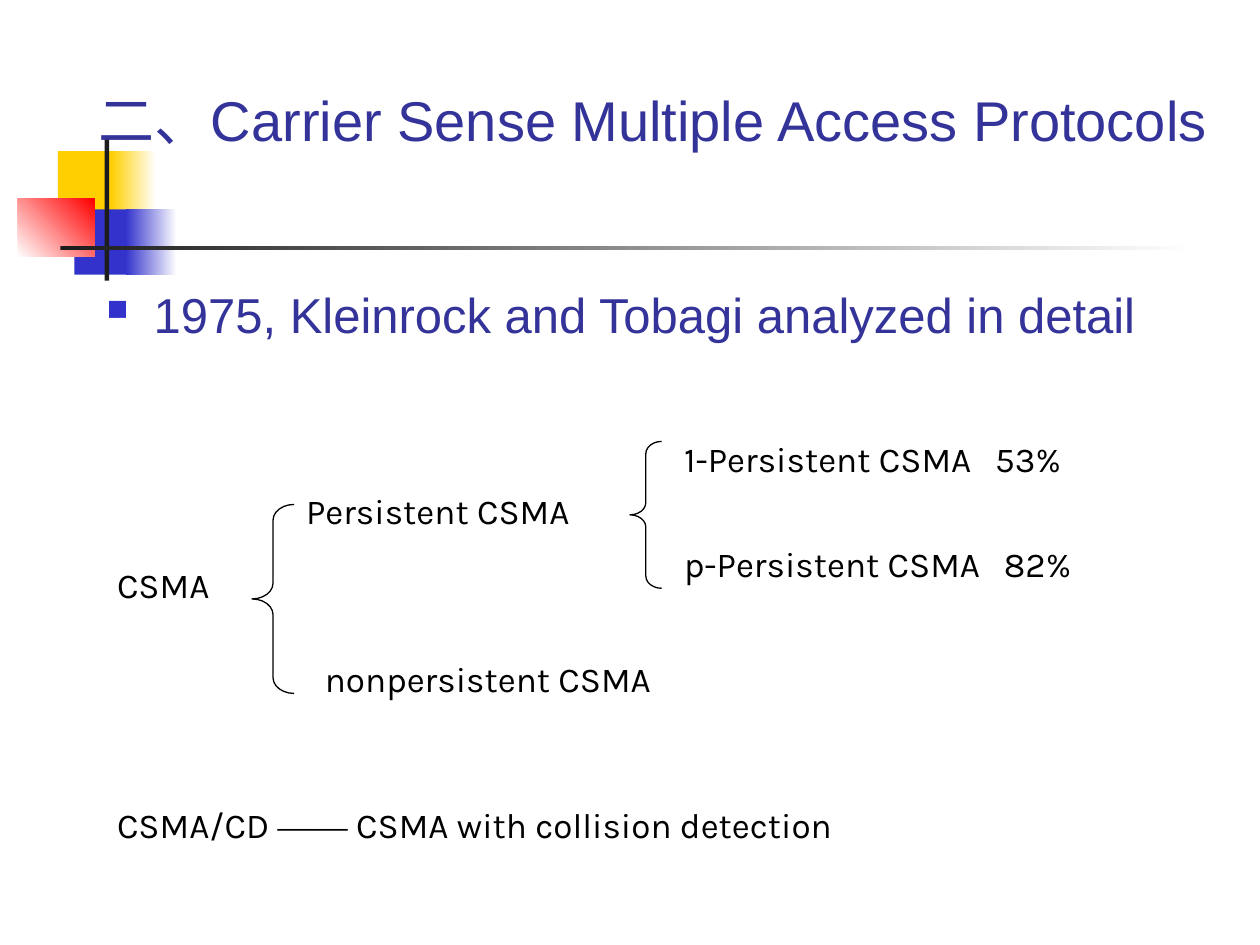
from lxml.etree import SubElement
from pptx import Presentation
from pptx.dml.color import RGBColor
from pptx.enum.shapes import MSO_SHAPE as Shape
from pptx.enum.text import MSO_ANCHOR as Anchor, MSO_AUTO_SIZE as Fit, PP_ALIGN as Align
from pptx.oxml.ns import qn
from pptx.util import Cm, Pt

YELLOW = RGBColor(0xFF, 0xCF, 0x01)
BLUE = RGBColor(0x33, 0x33, 0xCC)
RED = RGBColor(0xFF, 0x00, 0x00)
DARK = RGBColor(0x1C, 0x1C, 0x1C)
NAVY = RGBColor(0x33, 0x33, 0x99)
WHITE = RGBColor(0xFF, 0xFF, 0xFF)
BLACK = RGBColor(0x00, 0x00, 0x00)


def add_text(slide, box, text):
    frame = slide.shapes.add_textbox(*map(Cm, box)).text_frame
    frame.word_wrap = True
    para = frame.paragraphs[0]
    para.text = text
    return frame, para


def set_font(para, size, color, name=None):
    para.font.size = Pt(size)
    para.font.color.rgb = color
    if name:
        para.font.name = name


def add_rect(slide, box, start, end=None, angle=0):
    rect = slide.shapes.add_shape(Shape.RECTANGLE, *map(Cm, box))
    rect.shadow.inherit = False
    rect.line.fill.background()
    if end is None:
        rect.fill.solid()
        rect.fill.fore_color.rgb = start
        return
    rect.fill.gradient()
    rect.fill.gradient_angle = angle
    for stop, color in zip(rect.fill.gradient_stops, (start, end)):
        stop.color.rgb = color


def add_motif(slide, left, top):
    parts = [
        (0.81, 0.31, 1.22, 1.32, YELLOW),
        (1.88, 0.31, 0.91, 1.32, YELLOW, WHITE),
        (1.14, 1.48, 1.17, 1.32, BLUE),
        (2.18, 1.48, 1.02, 1.32, BLUE, WHITE),
        (0, 1.27, 1.55, 1.17, WHITE, RED, 45),
        (1.75, 0, 0.09, 2.92, DARK),
        (0.86, 2.21, 22.86, 0.09, DARK, WHITE),
    ]
    for x, y, width, height, *paint in parts:
        add_rect(slide, (left + x, top + y, width, height), *paint)


def add_title(slide, box):
    frame, para = add_text(slide, box, "二、Carrier Sense Multiple Access Protocols")
    frame.vertical_anchor = Anchor.BOTTOM
    para.alignment = Align.CENTER
    set_font(para, 32, NAVY, "Arial")


def add_body(slide, box):
    para = add_text(slide, box, "1975, Kleinrock and Tobagi analyzed in detail")[1]
    props = para._p.get_or_add_pPr()
    props.set("marL", str(Cm(0.95)))
    props.set("indent", str(-Cm(0.95)))
    tint = SubElement(props, qn("a:buClr"))
    SubElement(tint, qn("a:srgbClr"), val=str(BLUE))
    SubElement(props, qn("a:buSzPct"), val="60000")
    SubElement(props, qn("a:buChar"), char="■")
    set_font(para, 28, NAVY, "Arial")


def add_label(slide, left, top, width, text, align=Align.LEFT, tab=None):
    frame, para = add_text(slide, (left, top, width, 1.12), text)
    frame.auto_size = Fit.SHAPE_TO_FIT_TEXT
    para.alignment = align
    if tab:
        tabs = SubElement(para._p.get_or_add_pPr(), qn("a:tabLst"))
        SubElement(tabs, qn("a:tab"), pos=str(Cm(tab)), algn="l")
    set_font(para, 20, BLACK, "Karla")


def add_brace(slide, left, top, width, height):
    brace = slide.shapes.add_shape(
        Shape.LEFT_BRACE, Cm(left), Cm(top), Cm(width), Cm(height))
    brace.shadow.inherit = False
    brace.fill.background()
    brace.line.color.rgb = BLACK
    brace.line.width = Pt(0.75)
    brace.adjustments[0] = height / 12 / width


def add_tree(slide, left, top):
    labels = [
        (0, 2.54, 2.97, "CSMA"),
        (3.81, 1.06, 7.41, "Persistent CSMA"),
        (3.39, 4.44, 8.68, "nonpersistent CSMA", Align.CENTER),
        (11.43, 0, 9.95, "1-Persistent CSMA\t53%", Align.LEFT, 6.27),
        (11.43, 2.12, 10.37, "p-Persistent CSMA\t82%", Align.LEFT, 6.45),
    ]
    for x, y, *rest in labels:
        add_label(slide, left + x, top + y, *rest)
    add_brace(slide, left + 2.97, top + 1.48, 0.85, 3.81)
    add_brace(slide, left + 10.59, top + 0.21, 0.64, 2.96)


def add_note(slide, box):
    frame, para = add_text(slide, box, "")
    frame.auto_size = Fit.SHAPE_TO_FIT_TEXT
    set_font(para, 20, BLACK)
    for text, name in (("CSMA/CD ", "Karla"), ("——", "Times New Roman"),
                       (" CSMA with collision detection", "Karla")):
        run = para.add_run()
        run.text = text
        run.font.name = name


def main():
    deck = Presentation()
    deck.slide_width, deck.slide_height = Cm(25.4), Cm(19.05)
    slide = deck.slides.add_slide(deck.slide_layouts[6])
    add_motif(slide, 0.36, 2.74)
    add_title(slide, (1.7, 1.47, 22.94, 1.73))
    add_body(slide, (1.9, 5.61, 22.96, 1.8))
    add_tree(slide, 2.11, 8.69)
    add_note(slide, (2.11, 16.08, 19.25, 1.12))
    deck.save("out.pptx")


if __name__ == "__main__":
    main()
